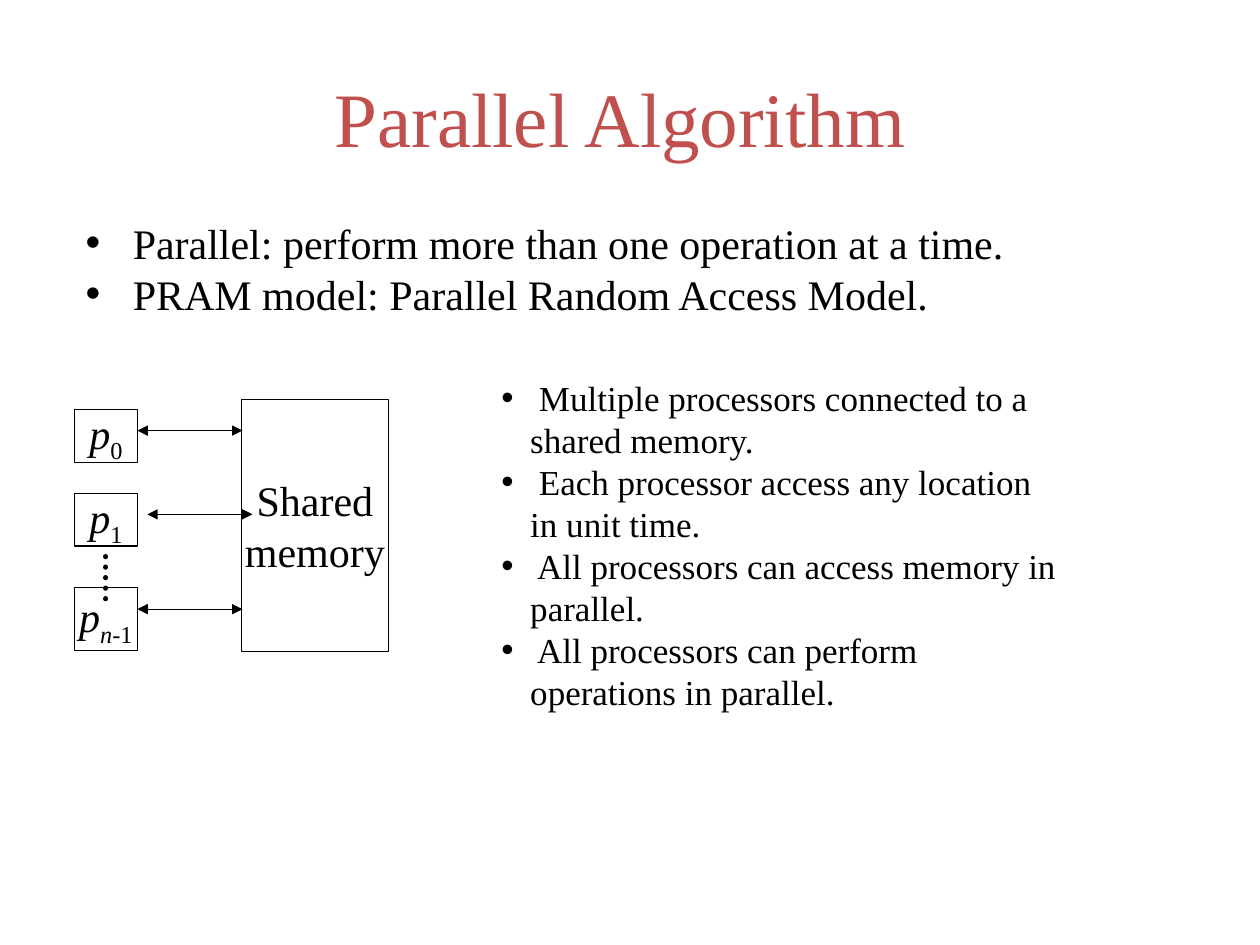
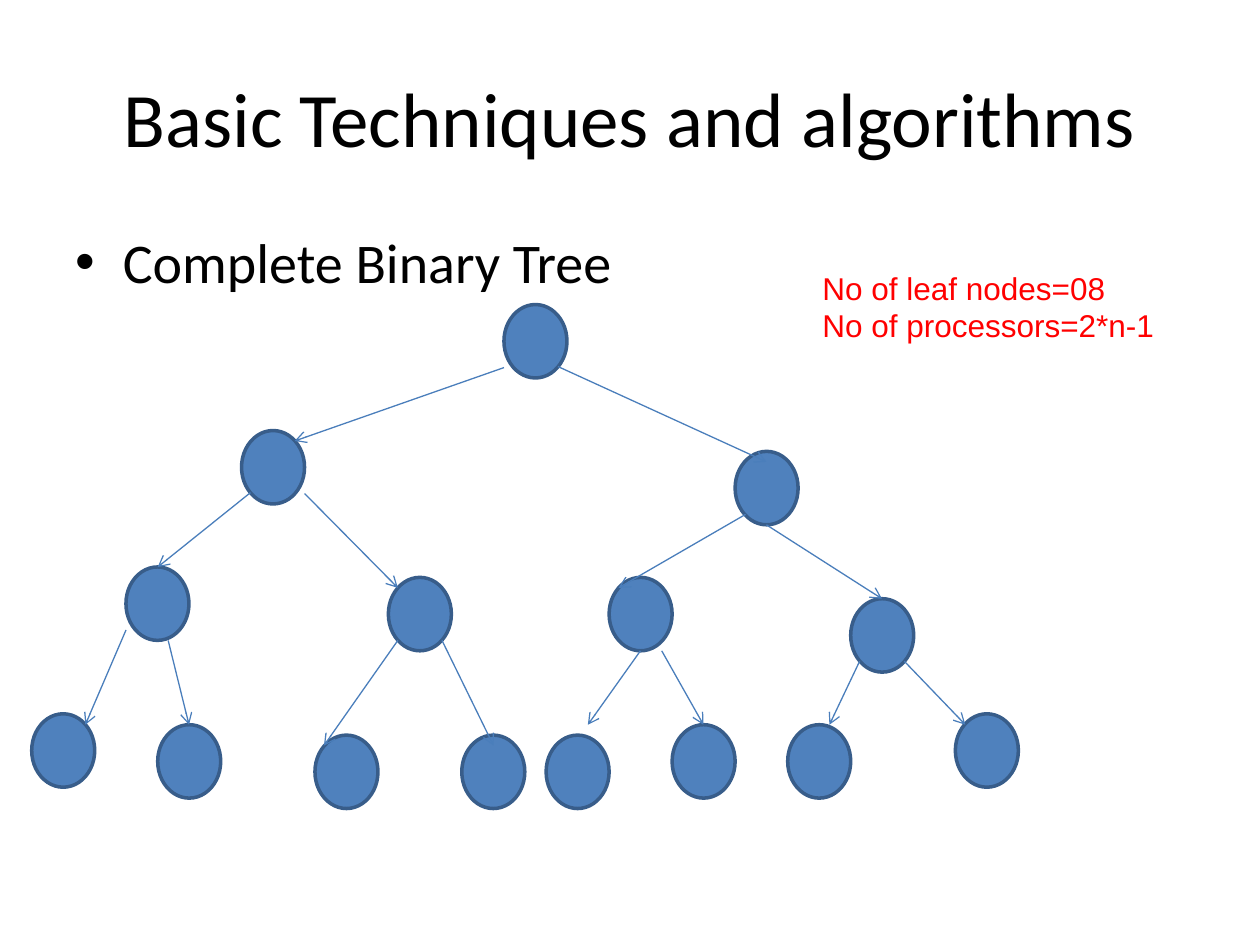
from dataclasses import dataclass
from typing import NamedTuple

import pptx
import pptx.dml.color
import pptx.enum.dml
import pptx.enum.shapes
import pptx.enum.text
import pptx.oxml.ns
import pptx.util
from lxml import etree

Cm = pptx.util.Cm
Pt = pptx.util.Pt
PP_ALIGN = pptx.enum.text.PP_ALIGN
MSO_ANCHOR = pptx.enum.text.MSO_ANCHOR
MSO_AUTO_SIZE = pptx.enum.text.MSO_AUTO_SIZE
MSO_SHAPE = pptx.enum.shapes.MSO_SHAPE


@dataclass(frozen=True)
class Theme:
    serif: str = "Times New Roman"
    sans: str = "Calibri"
    note_font: str = "Arial"
    ink: str = "000000"
    paper: str = "FFFFFF"
    accent: str = "C0504D"
    warning: str = "FF0000"
    node_fill: str = "4F81BD"
    node_edge: str = "385D8A"
    branch: str = "4A7EBB"
    title_size: int = 44
    topic_size: int = 32
    text_size: int = 24
    detail_size: int = 20
    note_size: int = 18
    thin: float = 0.75
    outline: float = 2
    dots: float = 3
    line_height: float = 1.2


THEME = Theme()


class Box(NamedTuple):
    left: float
    top: float
    width: float
    height: float


class Point(NamedTuple):
    x: float
    y: float


class TextStyle(NamedTuple):
    font: str
    size: int
    color: str = THEME.ink


class Processor(NamedTuple):
    top: float
    height: float
    subscript: tuple[tuple[str, bool], ...]
    link_start: Point


class Branch(NamedTuple):
    start: Point
    tip: Point
    child: Point


TITLE_BOX = Box(1.27, 0.76, 22.86, 3.18)
LABEL = TextStyle(THEME.serif, THEME.text_size)

MODEL_TOPICS = [
    "Parallel: perform more than one operation at a time.",
    "PRAM model: Parallel Random Access Model.",
]
MODEL_DETAILS = [
    " Multiple processors connected to a\vshared memory.",
    " Each processor access any location\vin unit time.",
    " All processors can access memory in\vparallel.",
    " All processors can perform\voperations in parallel.",
]
PROCESSOR_LEFT, PROCESSOR_WIDTH, LINK_LENGTH = 1.5, 1.27, 2.12
PROCESSORS = [
    Processor(8.26, 1.06, (("0", False),), Point(2.77, 8.68)),
    Processor(9.95, 1.06, (("1", False),), Point(2.97, 10.37)),
    Processor(11.85, 1.27, (("n", True), ("-1", False)), Point(2.77, 12.28)),
]

NODE_WIDTH, NODE_HEIGHT = 1.27, 1.48
ROOT = Point(10.16, 6.14)
BRANCHES = [
    Branch(Point(10.16, 7.41), Point(5.94, 8.89), Point(4.87, 8.68)),
    Branch(Point(11.25, 7.39), Point(15.45, 9.31), Point(14.82, 9.1)),
    Branch(Point(5.05, 9.93), Point(3.18, 11.43), Point(2.54, 11.43)),
    Branch(Point(6.14, 9.95), Point(8.02, 11.85), Point(7.83, 11.64)),
    Branch(Point(15.03, 10.37), Point(12.47, 11.85), Point(12.28, 11.64)),
    Branch(Point(15.45, 10.58), Point(17.78, 12.07), Point(17.15, 12.07)),
    Branch(Point(2.54, 12.7), Point(1.72, 14.61), Point(0.64, 14.39)),
    Branch(Point(3.39, 12.91), Point(3.81, 14.61), Point(3.18, 14.61)),
    Branch(Point(8.02, 12.91), Point(6.53, 15.03), Point(6.35, 14.82)),
    Branch(Point(8.91, 12.91), Point(9.95, 15.03), Point(9.31, 14.82)),
    Branch(Point(12.91, 13.12), Point(11.85, 14.61), Point(11.01, 14.82)),
    Branch(Point(13.34, 13.12), Point(14.18, 14.61), Point(13.55, 14.61)),
    Branch(Point(17.33, 13.33), Point(16.72, 14.61), Point(15.88, 14.61)),
    Branch(Point(18.23, 13.33), Point(19.46, 14.61), Point(19.26, 14.39)),
]


def rgb(color: str):
    return pptx.dml.color.RGBColor.from_string(color)


def add_element(parent, tag: str, **attributes: str):
    return etree.SubElement(parent, pptx.oxml.ns.qn(tag), **attributes)


def apply_style(paragraph, style: TextStyle) -> None:
    paragraph.font.name = style.font
    paragraph.font.size = Pt(style.size)
    paragraph.font.color.rgb = rgb(style.color)


def write_lines(frame, lines: list[str], style: TextStyle, bullet_indent: float = 0):
    for index, line in enumerate(lines):
        paragraph = frame.paragraphs[0] if index == 0 else frame.add_paragraph()
        paragraph.text = line
        if bullet_indent:
            properties = paragraph._p.get_or_add_pPr()
            properties.set("marL", str(Cm(bullet_indent)))
            properties.set("indent", str(-Cm(bullet_indent)))
            add_element(properties, "a:buFont", typeface="Arial")
            add_element(properties, "a:buChar", char="•")
        apply_style(paragraph, style)
    return frame.paragraphs


def set_leading(paragraphs, size: int) -> None:
    for paragraph in paragraphs:
        paragraph.line_spacing = Pt(size * THEME.line_height)


def place(shape, box: Box) -> None:
    shape.left, shape.top, shape.width, shape.height = map(Cm, box)


def add_titled_slide(deck, title: str, title_style: TextStyle,
                     topics: list[str], topic_box: Box, topic_style: TextStyle):
    slide = deck.slides.add_slide(deck.slide_layouts[1])
    heading, body = slide.shapes.title, slide.placeholders[1]
    place(heading, TITLE_BOX)
    heading.text_frame.auto_size = MSO_AUTO_SIZE.NONE
    heading.text_frame.vertical_anchor = MSO_ANCHOR.MIDDLE
    write_lines(heading.text_frame, [title], title_style)[0].alignment = PP_ALIGN.CENTER
    place(body, topic_box)
    body.text_frame.auto_size = MSO_AUTO_SIZE.NONE
    paragraphs = write_lines(body.text_frame, topics, topic_style)
    paragraphs[0].space_before = Pt(0)
    return slide, paragraphs


def add_text(slide, box: Box, lines: list[str], style: TextStyle,
             wrap: bool = True, bullet_indent: float = 0) -> None:
    frame = slide.shapes.add_textbox(*map(Cm, box)).text_frame
    frame.word_wrap = wrap
    set_leading(write_lines(frame, lines, style, bullet_indent), style.size)


def add_figure(slide, kind, box: Box, fill: str, edge: str, weight: float):
    figure = slide.shapes.add_shape(kind, *map(Cm, box))
    figure.shadow.inherit = False
    figure.fill.solid()
    figure.fill.fore_color.rgb = rgb(fill)
    figure.line.color.rgb = rgb(edge)
    figure.line.width = Pt(weight)
    return figure


def add_memory_block(slide, box: Box):
    block = add_figure(slide, MSO_SHAPE.RECTANGLE, box, THEME.paper, THEME.ink, THEME.thin)
    block.text_frame.word_wrap = False
    block.text_frame.vertical_anchor = MSO_ANCHOR.MIDDLE
    return block.text_frame


def add_line(slide, start: Point, end: Point, color: str, weight: float,
             head: str = "", tail: str = "", dotted: bool = False) -> None:
    connector = slide.shapes.add_connector(
        pptx.enum.shapes.MSO_CONNECTOR.STRAIGHT, *map(Cm, (*start, *end)))
    connector.line.color.rgb = rgb(color)
    connector.line.width = Pt(weight)
    outline = connector.line._get_or_add_ln()
    if dotted:
        connector.line.dash_style = pptx.enum.dml.MSO_LINE.ROUND_DOT
        outline.set("cap", "rnd")
    for tag, arrow in (("a:headEnd", head), ("a:tailEnd", tail)):
        if arrow:
            add_element(outline, tag, type=arrow)
    add_element(connector._element.spPr, "a:effectLst")


def add_processor(slide, processor: Processor) -> None:
    frame = add_memory_block(
        slide, Box(PROCESSOR_LEFT, processor.top, PROCESSOR_WIDTH, processor.height))
    label = frame.paragraphs[0]
    label.alignment = PP_ALIGN.CENTER
    apply_style(label, LABEL)
    letter = label.add_run()
    letter.text = "p"
    letter.font.italic = True
    for text, italic in processor.subscript:
        index = label.add_run()
        index.text = text
        index.font.italic = italic
        index._r.get_or_add_rPr().set("baseline", "-25000")


def build_model_slide(deck) -> None:
    slide, topics = add_titled_slide(
        deck, "Parallel Algorithm ", TextStyle(THEME.serif, THEME.title_size, THEME.accent),
        MODEL_TOPICS, Box(1.47, 4.45, 22.66, 3.61), LABEL)
    for topic in topics:
        topic.alignment = PP_ALIGN.JUSTIFY
        topic.line_spacing = 0.8
    for topic in topics[1:]:
        topic.space_before = Pt(6)
    add_text(slide, Box(9.86, 7.47, 12.27, 7.04), MODEL_DETAILS,
             TextStyle(THEME.serif, THEME.detail_size), bullet_indent=0.58)
    for processor in PROCESSORS:
        add_processor(slide, processor)
    add_line(slide, Point(2.13, 11.22), Point(2.13, 12.07), THEME.ink, THEME.dots, dotted=True)
    memory = add_memory_block(slide, Box(4.87, 8.05, 2.96, 5.08))
    memory_lines = write_lines(memory, ["Shared", "memory"], LABEL)
    set_leading(memory_lines, LABEL.size)
    for line in memory_lines:
        line.alignment = PP_ALIGN.CENTER
    for processor in PROCESSORS:
        start = processor.link_start
        add_line(slide, start, Point(start.x + LINK_LENGTH, start.y),
                 THEME.ink, THEME.thin, head="triangle", tail="triangle")


def build_tree_slide(deck) -> None:
    slide, _ = add_titled_slide(
        deck, "Basic Techniques and algorithms", TextStyle(THEME.sans, THEME.title_size),
        ["Complete Binary Tree"], Box(1.27, 4.45, 19.69, 12.57),
        TextStyle(THEME.sans, THEME.topic_size))
    for node in [ROOT, *(branch.child for branch in BRANCHES)]:
        add_figure(slide, MSO_SHAPE.OVAL, Box(*node, NODE_WIDTH, NODE_HEIGHT),
                   THEME.node_fill, THEME.node_edge, THEME.outline)
    for branch in BRANCHES:
        add_line(slide, branch.start, branch.tip, THEME.branch, THEME.thin, tail="arrow")
    add_text(slide, Box(16.33, 5.29, 7.19, 1.78),
             ["No of leaf nodes=08", "No of processors=2*n-1"],
             TextStyle(THEME.note_font, THEME.note_size, THEME.warning), wrap=False)


def main() -> None:
    deck = pptx.Presentation()
    deck.slide_width, deck.slide_height = Cm(25.4), Cm(19.05)
    build_model_slide(deck)
    build_tree_slide(deck)
    deck.save("out.pptx")


if __name__ == "__main__":
    main()
